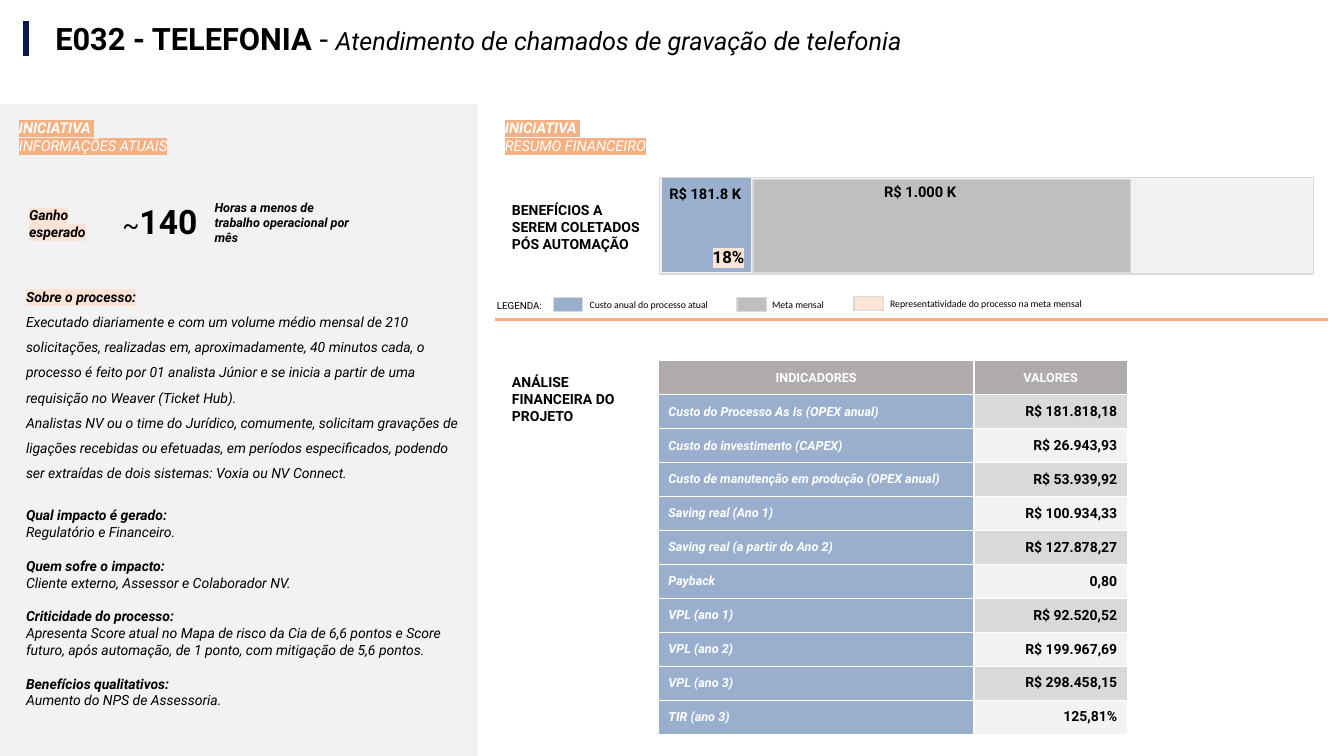
"""Build the E032 telephony initiative slide with its financial summary."""
import pptx
import pptx.dml.color
import pptx.enum.shapes
import pptx.enum.text
import pptx.oxml
import pptx.oxml.ns
import pptx.util
from pptx.util import Inches

ALIGN = pptx.enum.text.PP_ALIGN
MIDDLE = pptx.enum.text.MSO_ANCHOR.MIDDLE
NAVY, BLACK, WHITE = "0A1750", "000000", "FFFFFF"
BLUE, ORANGE, PEACH = "9AAFCE", "F4B183", "FBE3D5"
PALE, LIGHT, GREY, HEADER = "F2F2F2", "D9D9D9", "BFBFBF", "AFABAB"


def color(hex_string):
    return pptx.dml.color.RGBColor.from_string(hex_string)


def write(paragraph, text, size=10, font="Roboto", ink=BLACK, bold=False,
          italic=False, highlight=None):
    run = paragraph.add_run()
    run.text = text
    run.font.size = pptx.util.Pt(size)
    run.font.name = font
    run.font.bold = bold
    run.font.italic = italic
    run.font.color.rgb = color(ink)
    if highlight:
        properties = run.font._element
        mark = pptx.oxml.parse_xml(
            f'<a:highlight {pptx.oxml.ns.nsdecls("a")}><a:srgbClr val="{highlight}"/></a:highlight>')
        properties.find(pptx.oxml.ns.qn("a:solidFill")).addnext(mark)


class Board:
    def __init__(self, slide):
        self.shapes = slide.shapes

    def bar(self, left, top, width, height, fill, outline=None):
        bar = self.shapes.add_shape(pptx.enum.shapes.MSO_SHAPE.RECTANGLE,
                                    *map(Inches, (left, top, width, height)))
        bar.shadow.inherit = False
        bar.fill.solid()
        bar.fill.fore_color.rgb = color(fill)
        if outline:
            bar.line.color.rgb = color(outline)
            bar.line.width = pptx.util.Pt(1)
        else:
            bar.line.fill.background()

    def rule(self, x1, y1, x2, y2, ink, weight):
        rule = self.shapes.add_connector(pptx.enum.shapes.MSO_CONNECTOR.STRAIGHT,
                                         *map(Inches, (x1, y1, x2, y2)))
        rule.line.color.rgb = color(ink)
        rule.line.width = pptx.util.Pt(weight)
        rule._element.spPr.append(
            pptx.oxml.parse_xml(f'<a:effectLst {pptx.oxml.ns.nsdecls("a")}/>'))

    def frame(self, left, top, width, height):
        frame = self.shapes.add_textbox(*map(Inches, (left, top, width, height))).text_frame
        frame.word_wrap = True
        return frame

    def label(self, left, top, width, height, text, align=None, **style):
        paragraph = self.frame(left, top, width, height).paragraphs[0]
        paragraph.alignment = align
        write(paragraph, text, **style)

    def heading(self, left, subject):
        frame = self.frame(left, 1.13, 2.97, 0.45)
        style = dict(size=10.5, ink=WHITE, italic=True, highlight=ORANGE)
        write(frame.paragraphs[0], "INICIATIVA ", bold=True, **style)
        write(frame.add_paragraph(), subject, **style)

    def legend(self, left, top, text, text_left, width, fill):
        self.bar(left, top, 0.29, 0.14, fill, LIGHT)
        self.label(text_left, top - 0.04, width, 0.22, text, size=7, font="Calibri")

    def cell(self, cell, text, fill, align, **style):
        cell.fill.solid()
        cell.fill.fore_color.rgb = color(fill)
        cell.vertical_anchor = MIDDLE
        paragraph = cell.text_frame.paragraphs[0]
        paragraph.alignment = align
        write(paragraph, text, bold=True, **style)

    def indicators(self, left, top, widths, row_height, titles, rows):
        table = self.shapes.add_table(
            len(rows) + 1, len(widths), Inches(left), Inches(top),
            Inches(sum(widths)), Inches(row_height * (len(rows) + 1))).table
        table.horz_banding = False
        for column, width, title in zip(table.columns, widths, titles):
            column.width = Inches(width)
        for index, title in enumerate(titles):
            self.cell(table.cell(0, index), title, HEADER, ALIGN.CENTER, size=9, ink=WHITE)
        for index, (name, value) in enumerate(rows, 1):
            self.cell(table.cell(index, 0), name, BLUE, ALIGN.LEFT, size=9, ink=WHITE, italic=True)
            self.cell(table.cell(index, 1), value, LIGHT if index % 2 else PALE, ALIGN.RIGHT)


ABOUT = [
    "Executado diariamente e com um volume médio mensal de 210 solicitações, realizadas em, "
    "aproximadamente, 40 minutos cada, o processo é feito por 01 analista Júnior e se inicia "
    "a partir de uma requisição no Weaver (Ticket Hub).",
    "Analistas NV ou o time do Jurídico, comumente, solicitam gravações de ligações recebidas "
    "ou efetuadas, em períodos especificados, podendo ser extraídas de dois sistemas: "
    "Voxia ou NV Connect.",
]
IMPACTS = [
    ("Qual impacto é gerado:", "Regulatório e Financeiro."),
    ("Quem sofre o impacto:", "Cliente externo, Assessor e Colaborador NV."),
    ("Criticidade do processo:",
     "Apresenta Score atual no Mapa de risco da Cia de 6,6 pontos e Score futuro, "
     "após automação, de 1 ponto, com mitigação de 5,6 pontos."),
    ("Benefícios qualitativos:", "Aumento do NPS de Assessoria."),
]
INDICATORS = [
    ("Custo do Processo As Is (OPEX anual)", "R$ 181.818,18"),
    ("Custo do investimento (CAPEX)", "R$ 26.943,93"),
    ("Custo de manutenção em produção (OPEX anual)", "R$ 53.939,92"),
    ("Saving real (Ano 1)", "R$ 100.934,33"),
    ("Saving real (a partir do Ano 2)", "R$ 127.878,27"),
    ("Payback", "0,80"),
    ("VPL (ano 1)", "R$ 92.520,52"),
    ("VPL (ano 2)", "R$ 199.967,69"),
    ("VPL (ano 3)", "R$ 298.458,15"),
    ("TIR (ano 3)", "125,81%"),
]


def add_title(board):
    board.rule(0.26, 0.21, 0.26, 0.56, NAVY, 4.5)
    frame = board.frame(0.45, 0, 8.75, 0.8)
    frame.vertical_anchor = MIDDLE
    title = frame.paragraphs[0]
    title.line_spacing = 0.9
    write(title, "E032 - TELEFONIA ", size=22, bold=True)
    write(title, "- ", size=22)
    write(title, "Atendimento de chamados de gravação de telefonia", size=18, italic=True)


def add_initiative(board):
    board.bar(0, 1.03, 4.74, 6.47, PALE)
    board.heading(0.09, "INFORMAÇÕES ATUAIS")
    board.label(0.19, 2, 0.99, 0.61, "Ganho esperado", bold=True, italic=True, highlight=PEACH)
    gain_frame = board.frame(1.14, 2.01, 0.89, 0.39)
    gain_frame.margin_left = gain_frame.margin_right = gain_frame.margin_bottom = 0
    gain = gain_frame.paragraphs[0]
    gain.alignment = ALIGN.CENTER
    gain.line_spacing = 0.85
    write(gain, "~", size=18)
    write(gain, "140", size=24, bold=True)
    board.label(2.03, 1.93, 1.56, 0.56, "Horas a menos de trabalho operacional por mês",
                size=9, bold=True, italic=True)
    process = board.frame(0.16, 2.81, 4.58, 4.48)
    write(process.paragraphs[0], "Sobre o processo:", bold=True, italic=True, highlight=PEACH)
    for text in ABOUT:
        paragraph = process.add_paragraph()
        paragraph.line_spacing = 1.5
        write(paragraph, text, italic=True)
    for index, (question, answer) in enumerate(IMPACTS):
        paragraph = process.add_paragraph()
        paragraph.space_before = pptx.util.Pt(12 if index else 18)
        write(paragraph, question, bold=True, italic=True)
        write(process.add_paragraph(), answer, italic=True)


def add_finance(board):
    board.heading(4.91, "RESUMO FINANCEIRO")
    board.label(4.98, 1.95, 1.56, 0.61, "BENEFÍCIOS A SEREM COLETADOS PÓS AUTOMAÇÃO", bold=True)
    board.bar(6.54, 1.76, 6.49, 0.96, PALE, LIGHT)
    board.bar(6.57, 1.77, 0.87, 0.92, BLUE, BLUE)
    board.bar(7.47, 1.78, 3.74, 0.93, GREY, LIGHT)
    board.label(8.67, 1.76, 1.05, 0.28, "R$ 1.000 K", size=10.5, bold=True)
    board.label(6.47, 1.78, 1.05, 0.29, "R$ 181.8 K", ALIGN.CENTER, size=10.5, bold=True)
    board.label(6.7, 2.4, 1.05, 0.3, "18%", ALIGN.CENTER, size=12, bold=True, highlight=PEACH)
    board.label(4.83, 2.92, 0.69, 0.22, "LEGENDA:", size=7)
    board.legend(5.49, 2.95, "Custo anual do processo atual", 5.75, 2.09, BLUE)
    board.legend(7.31, 2.95, "Meta mensal", 7.56, 0.8, GREY)
    board.legend(8.47, 2.94, "Representatividade do processo na meta mensal", 8.73, 2.45, PEACH)
    board.rule(4.91, 3.17, 13.17, 3.17, ORANGE, 2.25)
    board.label(4.98, 3.66, 1.56, 0.61, "ANÁLISE FINANCEIRA DO PROJETO", bold=True)
    board.indicators(6.53, 3.58, (3.13, 1.52), 0.337, ("INDICADORES", "VALORES"), INDICATORS)


def main():
    deck = pptx.Presentation()
    deck.slide_width, deck.slide_height = Inches(13.33), Inches(7.5)
    board = Board(deck.slides.add_slide(deck.slide_layouts[6]))
    add_title(board)
    add_initiative(board)
    add_finance(board)
    deck.save("out.pptx")


if __name__ == "__main__":
    main()
